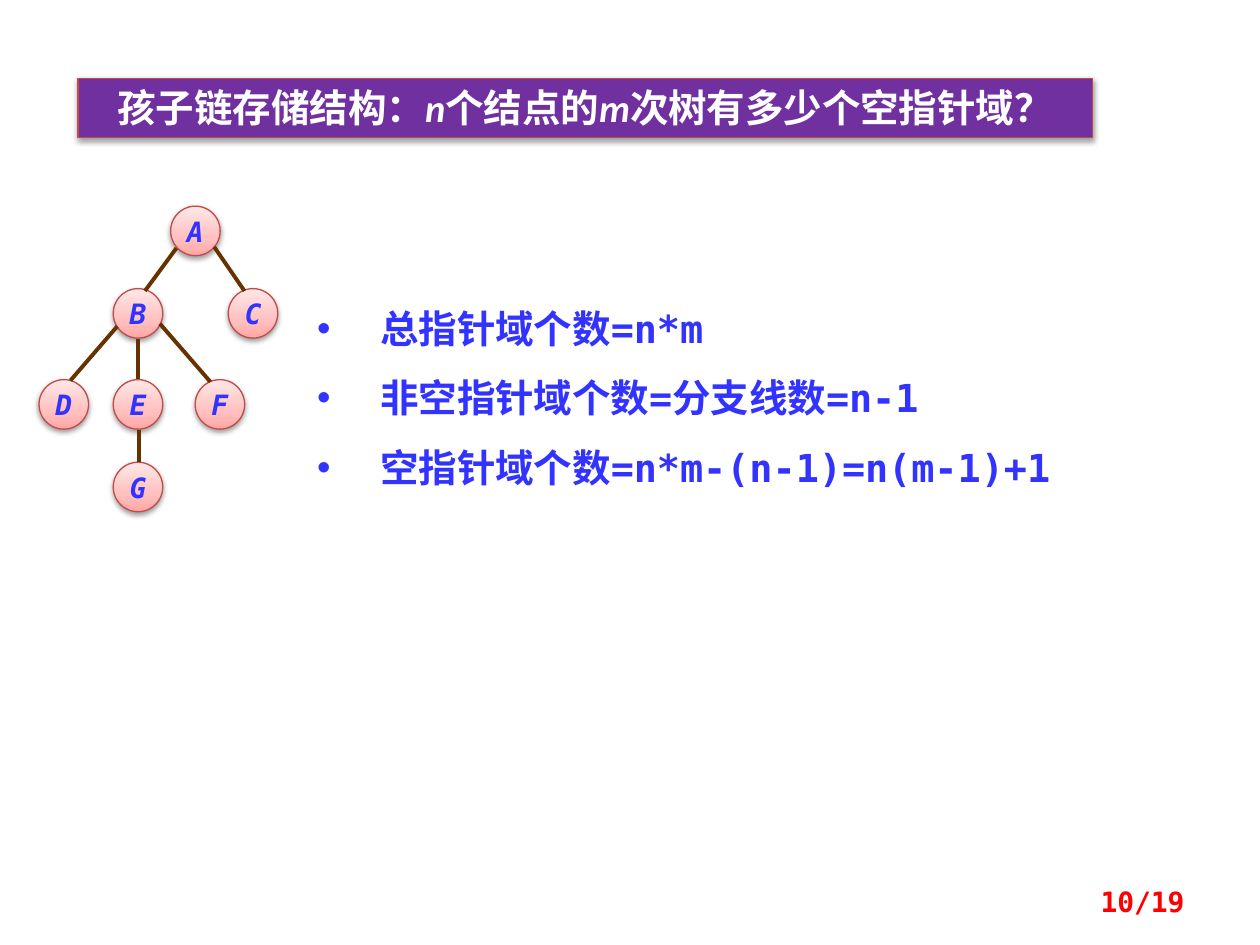
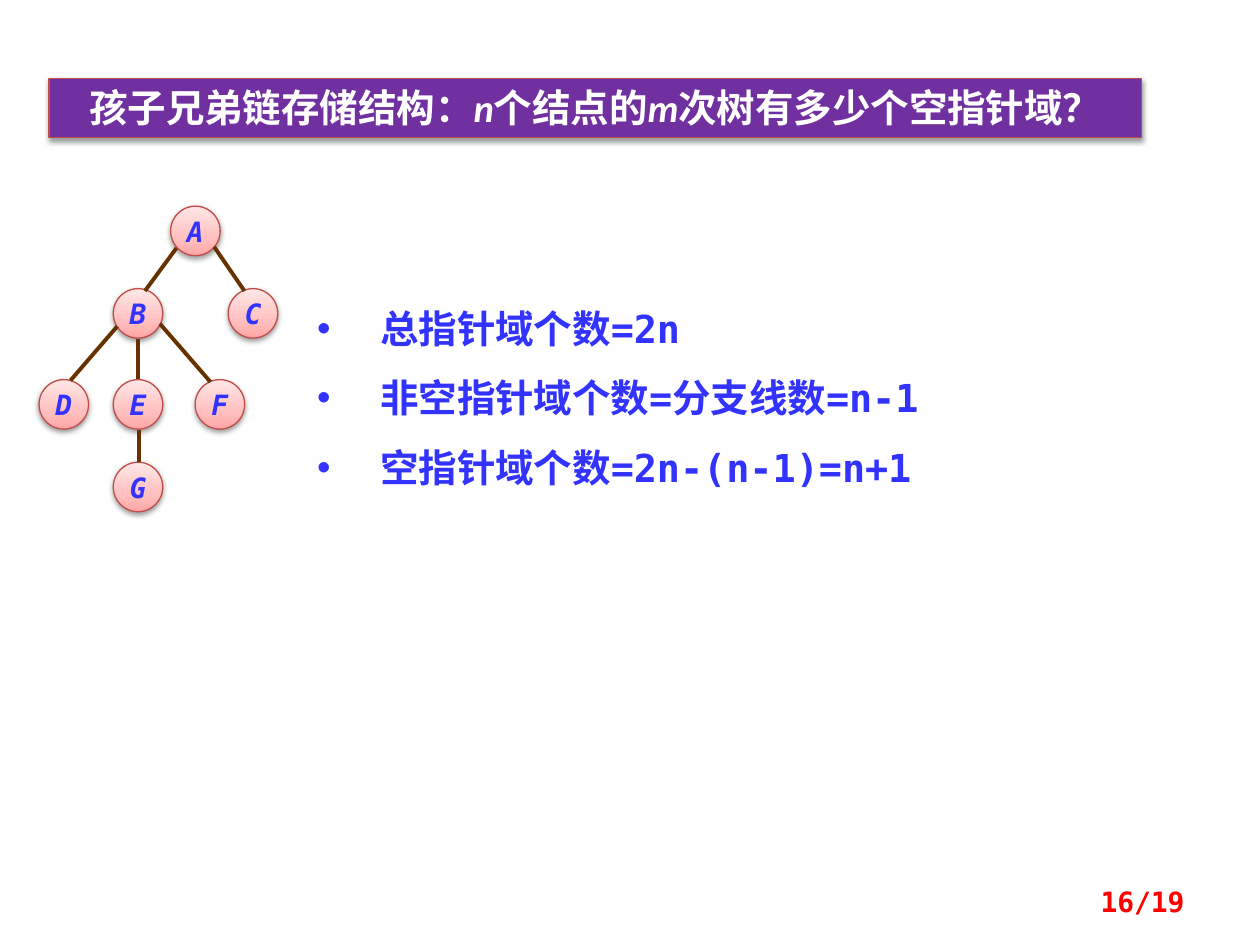
import pptx
import pptx.dml.color
import pptx.enum.shapes
import pptx.enum.text
import pptx.oxml
import pptx.oxml.ns
import pptx.util
from lxml import etree

Pt = pptx.util.Pt
qn = pptx.oxml.ns.qn
ALIGN = pptx.enum.text.PP_ALIGN
ANCHOR = pptx.enum.text.MSO_ANCHOR
SHAPES = pptx.enum.shapes.MSO_SHAPE


def color(value):
    return pptx.dml.color.RGBColor.from_string(value)


class Deck:
    TITLE_FONT, BODY_FONT = "Calibri", "DejaVu Sans Mono"
    PURPLE, RIM, BLUE, BROWN = "7030A0", "BF4C48", "3333FF", "663300"
    WHITE, RED = "FFFFFF", "FF0000"
    NODE_GRADIENT = ((0, "FFA6A5"), (35, "FFC0BF"), (100, "FFE7E7"))
    NODE_SIZE = 28.3

    def __init__(self):
        self.presentation = pptx.Presentation()
        self.presentation.slide_width = Pt(720)
        self.presentation.slide_height = Pt(540)
        self.slide = None

    def new_slide(self):
        blank = self.presentation.slide_layouts[6]
        self.slide = self.presentation.slides.add_slide(blank)

    def add_runs(self, paragraph, pieces, size, font, tint, align=ALIGN.LEFT):
        """Add (text, italic) pieces as bold runs."""
        paragraph.alignment = align
        for text, italic in pieces:
            run = paragraph.add_run()
            run.text = text
            run.font.size = Pt(size)
            run.font.name = font
            run.font.bold = True
            run.font.italic = italic
            run.font.color.rgb = color(tint)

    def raised_shape(self, kind, left, top, width, height):
        """Shape with the thin red rim and soft shadow."""
        shape = self.slide.shapes.add_shape(
            kind, Pt(left), Pt(top), Pt(width), Pt(height))
        shape.line.color.rgb = color(self.RIM)
        shape.line.width = Pt(0.75)
        shape.shadow.inherit = False
        effects = shape._element.spPr.find(qn("a:effectLst"))
        shadow = etree.SubElement(
            effects, qn("a:outerShdw"), blurRad=str(Pt(3.1)),
            dist=str(Pt(1.6)), dir="5400000", rotWithShape="0")
        black = etree.SubElement(shadow, qn("a:srgbClr"), val="000000")
        etree.SubElement(black, qn("a:alpha"), val="38000")
        return shape

    def title(self, pieces, left, width):
        banner = self.raised_shape(SHAPES.RECTANGLE, left, 44.7, width, 34)
        banner.fill.solid()
        banner.fill.fore_color.rgb = color(self.PURPLE)
        frame = banner.text_frame
        frame.word_wrap = True
        frame.vertical_anchor = ANCHOR.TOP
        self.add_runs(frame.paragraphs[0], pieces, 22, self.TITLE_FONT,
                      self.WHITE, ALIGN.CENTER)

    def node(self, letter, x, y):
        """Tree node centred on (x, y)."""
        size = self.NODE_SIZE
        circle = self.raised_shape(
            SHAPES.OVAL, x - size / 2, y - size / 2, size, size)
        gradient = etree.Element(qn("a:gradFill"), rotWithShape="1")
        stops = etree.SubElement(gradient, qn("a:gsLst"))
        for percent, tint in self.NODE_GRADIENT:
            stop = etree.SubElement(stops, qn("a:gs"), pos=str(percent * 1000))
            etree.SubElement(stop, qn("a:srgbClr"), val=tint)
        etree.SubElement(gradient, qn("a:lin"), ang="16200000", scaled="1")
        circle._element.spPr.find(qn("a:prstGeom")).addnext(gradient)
        frame = circle.text_frame
        frame.word_wrap = False
        frame.vertical_anchor = ANCHOR.MIDDLE
        self.add_runs(frame.paragraphs[0], [(letter, True)], 16,
                      self.BODY_FONT, self.BLUE, ALIGN.CENTER)

    def branch(self, x1, y1, x2, y2):
        line = self.slide.shapes.add_connector(
            pptx.enum.shapes.MSO_CONNECTOR.STRAIGHT,
            Pt(x1), Pt(y1), Pt(x2), Pt(y2))
        line.line.color.rgb = color(self.BROWN)
        line.line.width = Pt(2.25)
        etree.SubElement(line._element.spPr, qn("a:effectLst"))

    def text_frame(self, left, top, width, height):
        box = self.slide.shapes.add_textbox(
            Pt(left), Pt(top), Pt(width), Pt(height))
        box.text_frame.word_wrap = True
        return box.text_frame

    def bullets(self, items):
        frame = self.text_frame(174.2, 157.7, 444.2, 127.4)
        for index, item in enumerate(items):
            paragraph = frame.add_paragraph() if index else frame.paragraphs[0]
            properties = paragraph._p.get_or_add_pPr()
            properties.set("marL", str(Pt(36)))
            properties.set("indent", str(-Pt(36)))
            etree.SubElement(properties, qn("a:buFont"), typeface="Arial")
            etree.SubElement(properties, qn("a:buChar"), char="•")
            paragraph.line_spacing = 1.5
            self.add_runs(paragraph, [(item, False)], 22, self.BODY_FONT,
                          self.BLUE)

    def page_number(self, number):
        frame = self.text_frame(516.2, 500.4, 167.8, 28.8)
        frame.vertical_anchor = ANCHOR.MIDDLE
        self.add_runs(frame.paragraphs[0], [(f"{number}/19", False)], 16,
                      self.BODY_FONT, self.RED, ALIGN.RIGHT)


# Tree: node centres, then branch ends
NODES = {"A": (111.7, 132), "G": (78.9, 278.3), "B": (78.9, 179.1),
         "C": (144.6, 179.1), "D": (36.5, 231.1), "E": (78.9, 231.1),
         "F": (125.7, 231.1)}
BRANCHES = [(79.2, 245.5, 79.2, 264.2), (100.8, 141.8, 82.8, 166.3),
            (122.4, 141.1, 139.7, 166.3), (78.9, 193.7, 78.9, 216.7),
            (67, 186.5, 40.3, 217.4), (91.4, 185, 120.2, 218.2)]

# Storage structure, banner left and width, total and empty pointers, page
STRUCTURES = [
    ("孩子链存储结构：", 44.6, 579.6, "n*m", "n*m-(n-1)=n(m-1)+1", 10),
    ("孩子兄弟链存储结构：", 28.1, 624.2, "2n", "2n-(n-1)=n+1", 16),
]


def main():
    deck = Deck()
    for structure, left, width, total, empty, page in STRUCTURES:
        deck.new_slide()
        deck.title([(structure, False), ("n", True), ("个结点的", False),
                    ("m", True), ("次树有多少个空指针域？", False)], left, width)
        deck.bullets([f"总指针域个数={total}",
                      "非空指针域个数=分支线数=n-1",
                      f"空指针域个数={empty}"])
        for letter, (x, y) in NODES.items():
            deck.node(letter, x, y)
        for ends in BRANCHES:
            deck.branch(*ends)
        deck.page_number(page)
    deck.presentation.save("out.pptx")


if __name__ == "__main__":
    main()
